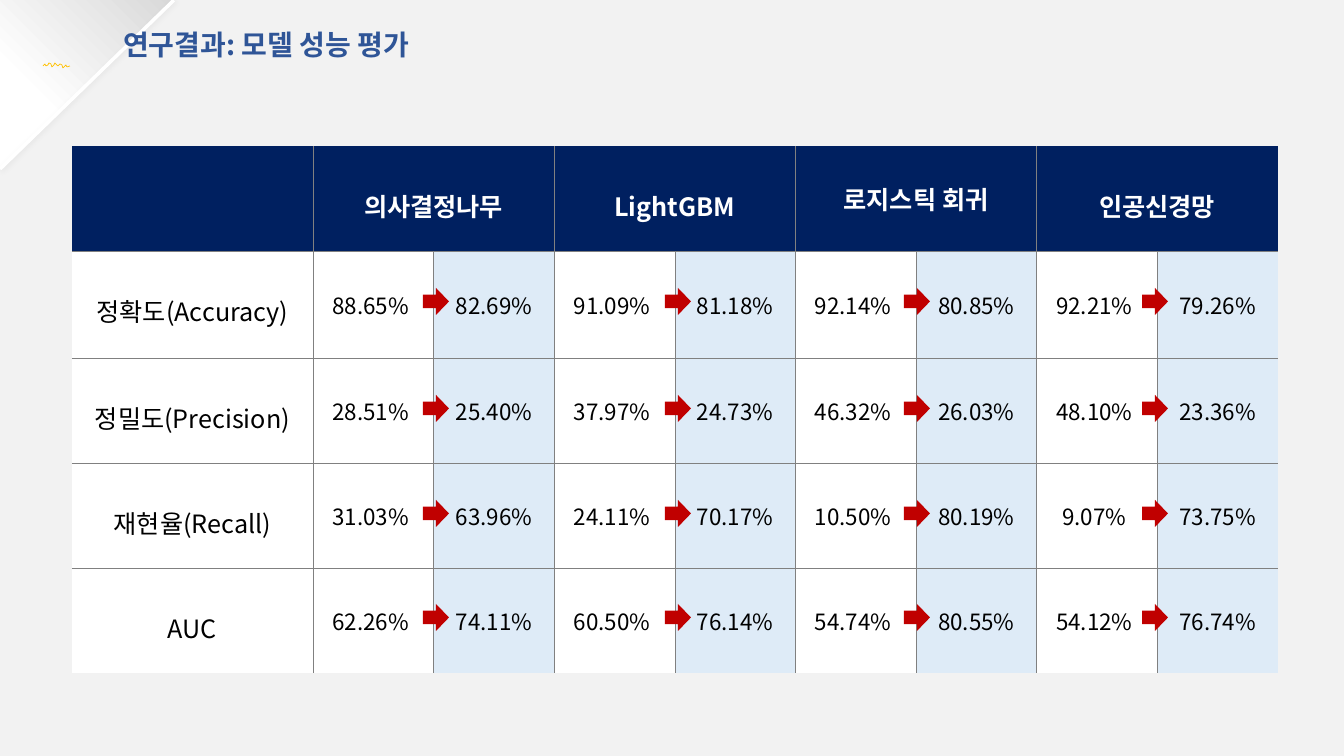
from lxml import etree
from pptx import Presentation
from pptx import util as u
from pptx.dml.color import RGBColor
from pptx.enum import shapes, text
from pptx.oxml import parse_xml
from pptx.oxml.ns import nsdecls, qn

FONT = "Noto Sans CJK KR"
PAGE = RGBColor(0xF2, 0xF2, 0xF2)
NAVY = RGBColor(0x00, 0x20, 0x60)
BLUE = RGBColor(0x2F, 0x55, 0x97)
PALE = RGBColor(0xDE, 0xEB, 0xF7)
WHITE = RGBColor(0xFF, 0xFF, 0xFF)
BLACK = RGBColor(0x00, 0x00, 0x00)
GREY = RGBColor(0x80, 0x80, 0x80)
LIGHT = RGBColor(0xD9, 0xD9, 0xD9)
RED = RGBColor(0xC0, 0x00, 0x00)
GOLD = RGBColor(0xFF, 0xC0, 0x00)

MODELS = ["의사결정나무", "LightGBM", "로지스틱 회귀", "인공신경망"]
METRICS = [
    ("정확도(Accuracy)", "88.65 82.69 91.09 81.18 92.14 80.85 92.21 79.26"),
    ("정밀도(Precision)", "28.51 25.40 37.97 24.73 46.32 26.03 48.10 23.36"),
    ("재현율(Recall)", "31.03 63.96 24.11 70.17 10.50 80.19 9.07 73.75"),
    ("AUC", "62.26 74.11 60.50 76.14 54.74 80.55 54.12 76.74"),
]
ROW_HEIGHTS = [105, 107, 105, 105, 105]
ARROW_LEFTS = [423, 665, 904, 1142]
ARROW_TOPS = [288, 395, 500, 604]
WAVE = [(43, 66), (45, 64), (46, 66), (48, 65), (49, 63), (51, 64), (52, 67),
        (54, 65), (55, 63), (57, 65), (58, 66), (60, 64), (62, 65), (63, 68),
        (65, 66), (66, 65), (67, 67), (70, 66)]


def px(pixels):
    """Turn pixels into EMU."""
    return u.Emu(round(pixels * 914400 / 100.8))


def add_run(paragraph, words, size, color, bold=False):
    """Add one formatted run to a paragraph."""
    run = paragraph.add_run()
    run.text = words
    run.font.name = FONT
    run.font.size = u.Pt(size)
    run.font.bold = bold
    run.font.color.rgb = color
    etree.SubElement(run.font._element, qn("a:ea"), typeface=FONT)


def add_shape(slide, preset, left, top, width, height, color):
    """Add a flat preset shape without outline."""
    shape = slide.shapes.add_shape(preset, px(left), px(top), px(width), px(height))
    shape.shadow.inherit = False
    shape.fill.solid()
    shape.fill.fore_color.rgb = color
    shape.line.fill.background()
    return shape


def set_borders(cell, sides):
    """Draw thin grey lines on the given cell sides and none on the others."""
    properties = cell._tc.get_or_add_tcPr()
    for index, side in enumerate("LRTB"):
        fill = f'<a:solidFill><a:srgbClr val="{GREY}"/></a:solidFill>' if side in sides else "<a:noFill/>"
        properties.insert(index, parse_xml(f'<a:ln{side} {nsdecls("a")} w="3175">{fill}</a:ln{side}>'))


def fill_cell(cell, words, size, fill, color=BLACK, bold=False, lowered=False):
    """Fill a cell and write centred text, in the middle or lowered by a line."""
    cell.fill.solid()
    cell.fill.fore_color.rgb = fill
    cell.vertical_anchor = text.MSO_ANCHOR.TOP if lowered else text.MSO_ANCHOR.MIDDLE
    if lowered:
        cell.margin_top = px(41)
    if words:
        paragraph = cell.text_frame.paragraphs[0]
        paragraph.alignment = text.PP_ALIGN.CENTER
        add_run(paragraph, words, size, color, bold)


def add_results_table(slide):
    """Add the table of metrics before and after for each model."""
    frame = slide.shapes.add_table(5, 9, px(72), px(146), px(1206), px(sum(ROW_HEIGHTS)))
    table = frame.table
    table.first_row = table.horz_banding = False
    for index, column in enumerate(table.columns):
        column.width = px(965 / 8) if index else px(241)
    for row, height in zip(table.rows, ROW_HEIGHTS):
        row.height = px(height)
    fill_cell(table.cell(0, 0), "", 18, NAVY)
    set_borders(table.cell(0, 0), "RB")
    for index, model in enumerate(MODELS):
        cell = table.cell(0, 2 * index + 1)
        cell.merge(table.cell(0, 2 * index + 2))
        fill_cell(cell, model, 18, NAVY, WHITE, True, lowered=index != 2)
        set_borders(cell, "LB" if index == 3 else "LRB")
    for row, (metric, values) in enumerate(METRICS, 1):
        below = "B" if row < len(METRICS) else ""
        label = table.cell(row, 0)
        fill_cell(label, metric, 18, WHITE, lowered=True)
        set_borders(label, "RT" + below)
        for column, value in enumerate(values.split(), 1):
            before = column % 2
            cell = table.cell(row, column)
            fill_cell(cell, value + ("% " if before else "%"), 16, WHITE if before else PALE)
            set_borders(cell, ("LT" if column == 8 else "LRT") + below)


def add_corner(slide):
    """Add the folded corner with its soft shade, edge and wave."""
    shade = add_shape(slide, shapes.MSO_SHAPE.OVAL, 54, -2, 66, 165, BLACK)
    shade.rotation = 45
    color = shade._element.spPr.find(".//" + qn("a:srgbClr"))
    etree.SubElement(color, qn("a:alpha"), val="19000")
    effects = shade._element.spPr.find(qn("a:effectLst"))
    etree.SubElement(effects, qn("a:softEdge"), rad="317500")

    fold = add_shape(slide, shapes.MSO_SHAPE.RIGHT_TRIANGLE, 0, 0, 174, 169, WHITE)
    fold.rotation = 180
    properties = fold._element.spPr
    properties.find(qn("a:xfrm")).set("flipH", "1")
    gradient = parse_xml(
        f'<a:gradFill {nsdecls("a")} rotWithShape="1"><a:gsLst>'
        f'<a:gs pos="0"><a:srgbClr val="{LIGHT}"/></a:gs>'
        f'<a:gs pos="69000"><a:srgbClr val="{WHITE}"/></a:gs></a:gsLst>'
        '<a:path path="circle"><a:fillToRect l="100000" b="100000"/></a:path></a:gradFill>')
    properties.replace(properties.find(qn("a:solidFill")), gradient)

    edge = slide.shapes.add_connector(shapes.MSO_CONNECTOR.STRAIGHT, px(174), 0, 0, px(169))
    edge.line.color.rgb = WHITE
    edge.line.width = u.Pt(2.5)
    edge._element.spPr.append(parse_xml(
        f'<a:effectLst {nsdecls("a")}><a:outerShdw blurRad="50800" dist="12700" dir="2700000">'
        f'<a:srgbClr val="{BLACK}"><a:alpha val="5000"/></a:srgbClr></a:outerShdw></a:effectLst>'))

    builder = slide.shapes.build_freeform(*WAVE[0], scale=px(1))
    builder.add_line_segments(WAVE[1:], close=False)
    wave = builder.convert_to_shape()
    wave.shadow.inherit = False
    wave.fill.background()
    wave.line.color.rgb = GOLD
    wave.line.width = u.Pt(0.5)


def add_title(slide):
    """Format the title placeholder and bring it in front."""
    title = slide.shapes.title
    title.left, title.top, title.width, title.height = px(113), px(22), px(487), px(44)
    frame = title.text_frame
    frame.word_wrap = True
    frame.auto_size = text.MSO_AUTO_SIZE.NONE
    frame.vertical_anchor = text.MSO_ANCHOR.TOP
    paragraph = frame.paragraphs[0]
    paragraph.alignment = text.PP_ALIGN.LEFT
    add_run(paragraph, "연구결과: 모델 성능 평가", 20, BLUE, True)
    slide.shapes._spTree.append(title._element)


def main():
    """Build and save the slide."""
    presentation = Presentation()
    presentation.slide_width, presentation.slide_height = px(1344), px(756)
    slide = presentation.slides.add_slide(presentation.slide_layouts[5])
    slide.background.fill.solid()
    slide.background.fill.fore_color.rgb = PAGE
    add_results_table(slide)
    for left in ARROW_LEFTS:
        for top in ARROW_TOPS:
            add_shape(slide, shapes.MSO_SHAPE.RIGHT_ARROW, left, top, 26, 27, RED)
    add_corner(slide)
    add_title(slide)
    presentation.save("out.pptx")


main()
